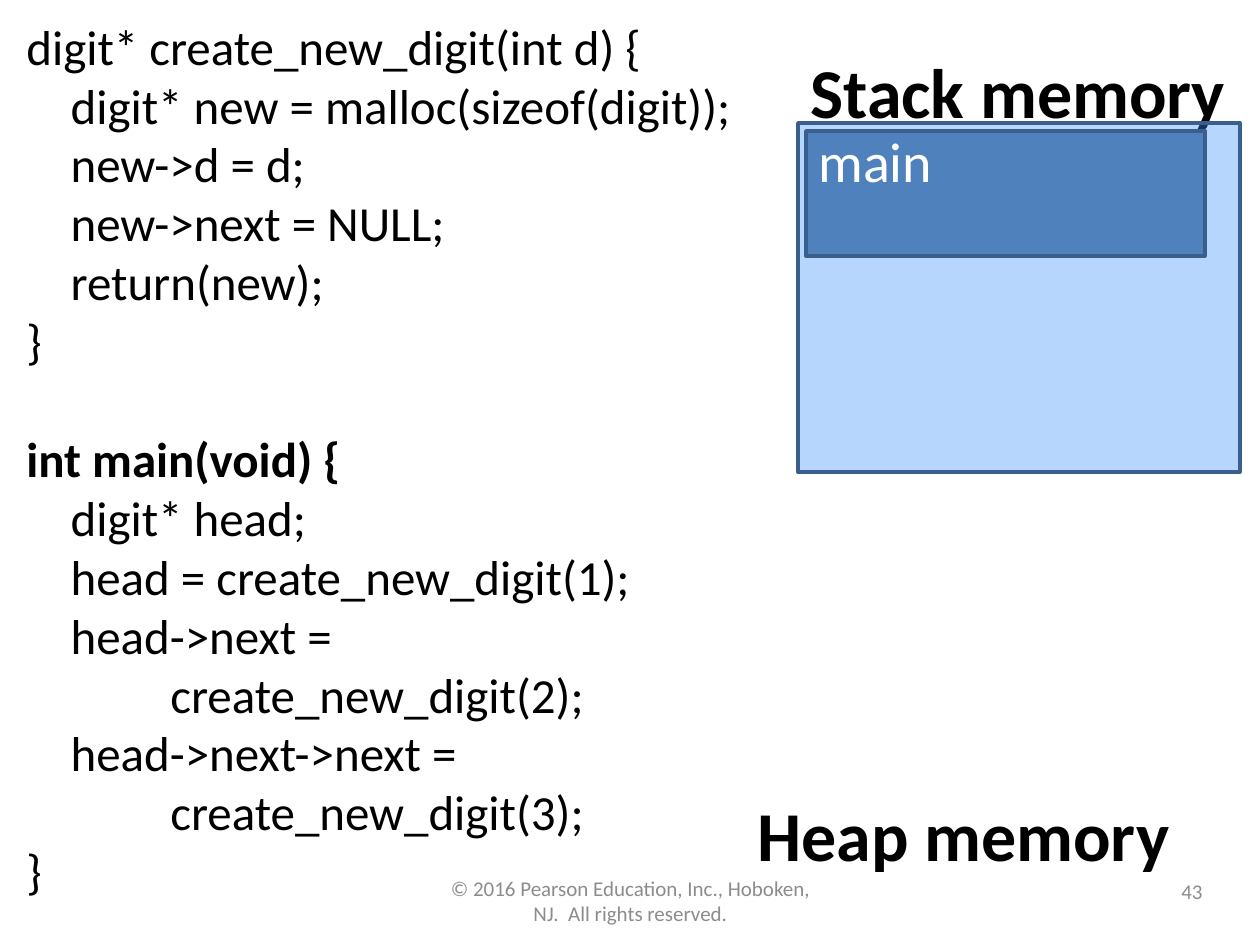
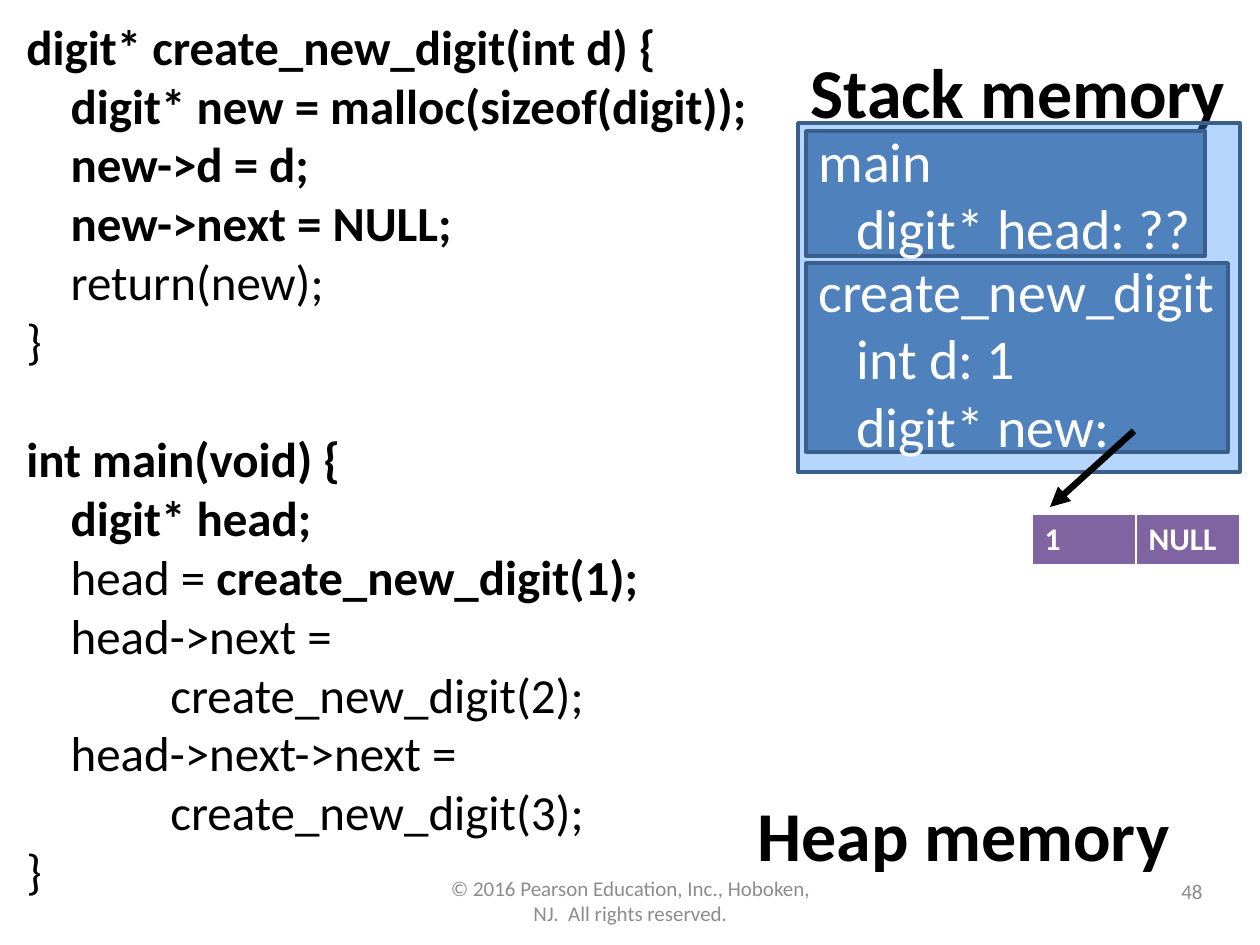
from lxml.etree import SubElement
from pptx import Presentation
from pptx.dml.color import RGBColor
from pptx.enum.shapes import MSO_CONNECTOR as Connector, MSO_SHAPE as Shape
from pptx.enum.text import MSO_ANCHOR as Anchor, MSO_AUTO_SIZE as AutoSize, PP_ALIGN as Align
from pptx.oxml import parse_xml
from pptx.oxml.ns import nsdecls, qn
from pptx.util import Emu, Pt

PX = 914400 // 126
FONT = "Calibri"
BLACK, WHITE, GREY = "000000", "FFFFFF", "8C8C8C"
STACK_FILL, FRAME_FILL, OUTLINE, NODE_FILL = "3A92FC", "4F81BD", "3A5F8C", "8064A2"
COPYRIGHT = "© 2016 Pearson Education, Inc., Hoboken, NJ.  All rights reserved."

STACK_TITLE = (798, 42, 445, 97)
HEAP_TITLE = (745, 785, 442, 97)
STACK = (798, 123, 442, 349)
MAIN_FRAME = (8, 8, 399, 125)
CALL_FRAME = (8, 140, 422, 189)
CODE = (14, 10, 750, 903)
NODE = (1032, 514, 208, 52)
POINTER = (1134, 431, 1050, 507)
FOOTER = (431, 876, 399, 50)
NUMBER = (921, 866, 294, 50)

CREATE_LINES = [
    "digit* create_new_digit(int d) {",
    "    digit* new = malloc(sizeof(digit));",
    "    new->d = d;",
    "    new->next = NULL;",
    "    return(new);",
    "}",
]
MAIN_LINES = [
    "int main(void) {",
    "    digit* head;",
    "    head = create_new_digit(1);",
    "    head->next =",
    "             create_new_digit(2);",
    "    head->next->next =",
    "             create_new_digit(3);",
    "}",
]


def px(*lengths):
    """Turn pixel lengths into EMU."""
    return [Emu(length * PX) for length in lengths]


def color(value):
    """Turn a hex string into a colour."""
    return RGBColor.from_string(value)


def write(frame, lines, size, ink=BLACK, bold=False, align=Align.LEFT,
          anchor=Anchor.TOP, wrap=True, indent=0):
    """Write lines, each a string or (text, bold) spans, indenting all but the first."""
    frame.word_wrap, frame.vertical_anchor = wrap, anchor
    frame.auto_size = AutoSize.NONE
    for index, line in enumerate(lines):
        para = frame.paragraphs[0] if index == 0 else frame.add_paragraph()
        para.alignment = align
        if index and indent:
            para._p.get_or_add_pPr().set("marL", str(indent * PX))
        for text, strong in [(line, bold)] if isinstance(line, str) else line:
            span = para.add_run()
            span.text = text
            font = span.font
            font.name, font.size, font.bold = FONT, Pt(size), strong
            font.color.rgb = color(ink)


def add_text(page, box, lines, size, **style):
    """Add a text box and return its frame."""
    frame = page.shapes.add_textbox(*px(*box)).text_frame
    write(frame, lines, size, **style)
    return frame


def add_panel(page, box, fill):
    """Add an outlined rectangle."""
    panel = page.shapes.add_shape(Shape.RECTANGLE, *px(*box))
    panel.shadow.inherit = False
    panel.fill.solid()
    panel.fill.fore_color.rgb = color(fill)
    panel.line.color.rgb = color(OUTLINE)
    panel.line.width = Pt(2)
    return panel


def add_headings(page):
    """Place the stack and heap headings."""
    title = page.shapes.title
    title.left, title.top, title.width, title.height = px(*STACK_TITLE)
    write(title.text_frame, ["Stack memory"], 40, bold=True, wrap=False)
    add_text(page, HEAP_TITLE, ["Heap memory"], 40, bold=True, wrap=False)


def add_footer(page, number):
    """Place the copyright line and slide number."""
    style = dict(ink=GREY, anchor=Anchor.MIDDLE)
    add_text(page, FOOTER, [COPYRIGHT], 12, align=Align.CENTER, **style)
    add_text(page, NUMBER, [str(number)], 12, align=Align.RIGHT, **style)


def add_code(page, box, bold_from):
    """List both functions, bold from the given column of each named line."""
    lines = []
    for index, line in enumerate(CREATE_LINES + MAIN_LINES):
        start = bold_from.get(index, len(line))
        spans = [(line[:start], False), (line[start:], True)]
        lines.append([span for span in spans if span[0]])
    frame = add_text(page, box, lines, 28)
    frame.paragraphs[len(CREATE_LINES)].space_before = Pt(34)


def add_stack(page, box, frames):
    """Draw the stack and its call frames, given as (box, lines, reserved height)."""
    left, top = box[:2]
    stack = add_panel(page, box, STACK_FILL)
    tint = stack.fill._xPr.find(qn("a:solidFill"))[0]
    SubElement(tint, qn("a:alpha")).set("val", "37000")
    for (x, y, width, height), lines, reserved in frames:
        panel = add_panel(page, (left + x, top + y, width, height), FRAME_FILL)
        panel.text_frame.margin_bottom = px(6 + reserved)[0]
        write(panel.text_frame, lines, 32, ink=WHITE, anchor=Anchor.MIDDLE, indent=38)


def add_node(page, box, values):
    """Draw a list node as a one-row table."""
    table = page.shapes.add_table(1, len(values), *px(*box)).table
    table.horz_banding = False
    for cell, value in zip(table.rows[0].cells, values):
        cell.fill.solid()
        cell.fill.fore_color.rgb = color(NODE_FILL)
        write(cell.text_frame, [value], 18, ink=WHITE, bold=True)
        for index, (side, width) in enumerate([("L", 1), ("R", 1), ("T", 1), ("B", 3)]):
            border = parse_xml(
                f'<a:ln{side} {nsdecls("a")} w="{Pt(width)}"><a:solidFill>'
                f'<a:srgbClr val="{WHITE}"/></a:solidFill></a:ln{side}>')
            cell._tc.get_or_add_tcPr().insert(index, border)


def add_pointer(page, ends):
    """Draw an arrow from a variable to its node."""
    arrow = page.shapes.add_connector(Connector.STRAIGHT, *px(*ends))
    arrow.line.color.rgb = color(BLACK)
    arrow.line.width = Pt(3.75)
    SubElement(arrow.line._get_or_add_ln(), qn("a:tailEnd")).set("type", "triangle")
    SubElement(arrow._element.spPr, qn("a:effectLst"))


def add_memory_page(deck, number, bold_from, frames):
    """Add a slide with the code beside the state of memory."""
    page = deck.slides.add_slide(deck.slide_layouts[5])
    add_footer(page, number)
    add_headings(page)
    add_code(page, CODE, bold_from)
    add_stack(page, STACK, frames)
    return page


def main():
    """Build the deck."""
    deck = Presentation()
    deck.slide_width, deck.slide_height = px(1260, 945)
    add_memory_page(deck, 43, {6: 0}, [(MAIN_FRAME, ["main"], 67)])
    page = add_memory_page(
        deck, 48, {0: 0, 1: 0, 2: 0, 3: 0, 6: 0, 7: 0, 8: len("    head = ")},
        [(MAIN_FRAME, ["main", "digit* head: ??"], 0),
         (CALL_FRAME, ["create_new_digit", "int d: 1", "digit* new:"], 0)])
    add_node(page, NODE, ["1", "NULL"])
    add_pointer(page, POINTER)
    deck.save("out.pptx")


if __name__ == "__main__":
    main()
